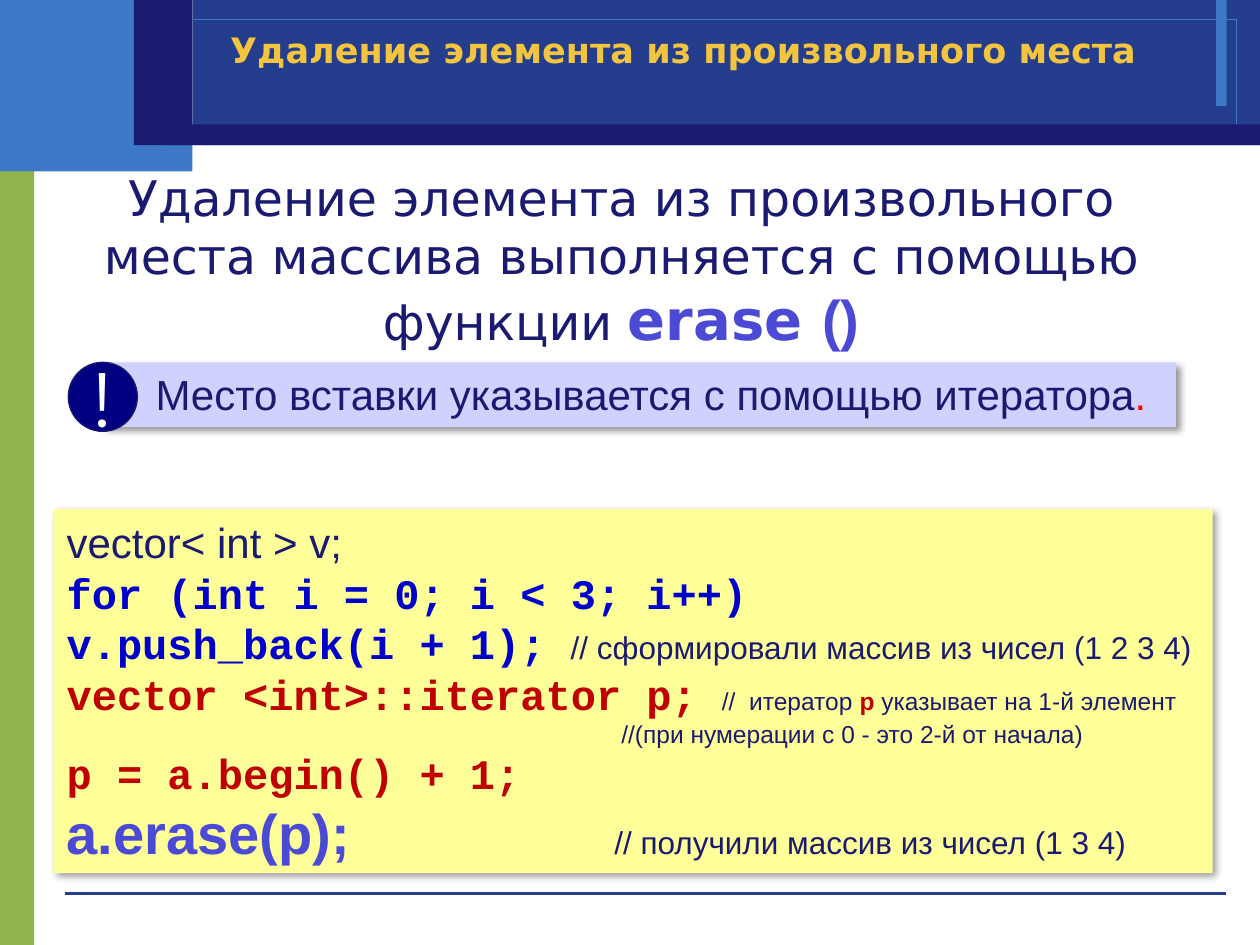
from dataclasses import dataclass

from lxml import etree
from pptx import Presentation
from pptx.dml.color import RGBColor
from pptx.enum.shapes import MSO_CONNECTOR, MSO_SHAPE
from pptx.enum.text import MSO_ANCHOR, MSO_AUTO_SIZE, PP_ALIGN
from pptx.oxml.ns import qn
from pptx.util import Pt

RECT, OVAL = MSO_SHAPE.RECTANGLE, MSO_SHAPE.OVAL
LINE = MSO_CONNECTOR.STRAIGHT
LEFT, MID = PP_ALIGN.LEFT, PP_ALIGN.CENTER
TOP, CORE = MSO_ANCHOR.TOP, MSO_ANCHOR.MIDDLE
FIXED = MSO_AUTO_SIZE.NONE


@dataclass(frozen=True)
class Theme:
    green: str = "90B54D"
    sky: str = "3E78C6"
    blue: str = "243D8C"
    ink: str = "1A1A70"
    gold: str = "F3C43F"
    violet: str = "4A4AD5"
    lilac: str = "D1D1FF"
    navy: str = "000080"
    sand: str = "FFFF99"
    key: str = "0000CC"
    wine: str = "C00000"
    red: str = "FF0000"
    white: str = "FFFFFF"
    black: str = "000000"
    note: int = 14
    small: int = 18
    head: int = 20
    text: int = 24
    lead: int = 28
    big: int = 32
    sign: int = 44
    sans: str = "DejaVu Sans"
    plain: str = "Arial"
    mono: str = "Courier New"
    mark: str = "Montserrat"


T = Theme()


def rgb(code):
    return RGBColor.from_string(code)


def style(name, size, color, bold=False):
    return {"name": name, "size": Pt(size), "bold": bold, "color": color}


def write(para, runs, align=LEFT):
    para.alignment = align
    para.space_before = Pt(0)
    for text, form in runs:
        run = para.add_run()
        run.text = text
        for key, val in form.items():
            if key == "color":
                run.font.color.rgb = rgb(val)
            else:
                setattr(run.font, key, val)


def frame(shape, **form):
    base = {"word_wrap": True, "auto_size": FIXED, "vertical_anchor": TOP}
    for key, val in (base | form).items():
        setattr(shape.text_frame, key, val)
    return shape.text_frame


def block(slide, kind, box, fill=None, line=None, width=0):
    shape = slide.shapes.add_shape(kind, *map(Pt, box))
    shape.shadow.inherit = False
    if fill:
        shape.fill.solid()
        shape.fill.fore_color.rgb = rgb(fill)
    else:
        shape.fill.background()
    if line:
        shape.line.color.rgb = rgb(line)
        shape.line.width = Pt(width)
    else:
        shape.line.fill.background()
    return shape


def shade(shape):
    fx = shape.element.spPr.find(qn("a:effectLst"))
    cast = etree.SubElement(fx, qn("a:outerShdw"), blurRad=str(Pt(4)),
                            dist=str(Pt(3)), dir="2700000", algn="tl", rotWithShape="0")
    tint = etree.SubElement(cast, qn("a:srgbClr"), val=T.black)
    etree.SubElement(tint, qn("a:alpha"), val="40000")


def place(shape, box):
    for key, val in zip(("left", "top", "width", "height"), box):
        setattr(shape, key, Pt(val))
    shape.element.getparent().append(shape.element)


def decor(slide, box):
    x, y, w, h = box
    parts = (
        ((0, 77, 19.5, h - 77), T.green, None),
        ((0, 0, 110, 98), T.sky, None),
        ((110, 0, w - 110, 83), T.blue, None),
        ((695, 0, 6, 60.5), T.sky, None),
        ((14.5, 11, 692, 61), None, T.sky),
        ((94, 71, w - 94, 12), T.ink, None),
        ((76.5, 0, 33.5, 83), T.ink, None),
    )
    for (dx, dy, pw, ph), fill, line in parts:
        block(slide, RECT, (x + dx, y + dy, pw, ph), fill, line)
    ends = (x + 37, y + 510.5, x + 700.5, y + 510.5)
    rule = slide.shapes.add_connector(LINE, *map(Pt, ends))
    rule.line.color.rgb = rgb(T.blue)
    rule.line.width = Pt(0)
    etree.SubElement(rule.element.spPr, qn("a:effectLst"))


def title(slide, box):
    shape = slide.shapes.title
    place(shape, box)
    area = frame(shape, vertical_anchor=CORE, margin_top=Pt(14), margin_bottom=Pt(3))
    write(area.paragraphs[0], [("Удаление элемента из произвольного места",
                                style(T.sans, T.head, T.gold, True))], MID)


def body(slide, box):
    shape = slide.placeholders[1]
    place(shape, box)
    para = frame(shape, margin_top=Pt(7)).paragraphs[0]
    write(para, [
        ("Удаление элемента из произвольного места массива выполняется с помощью функции ",
         style(T.sans, T.lead, T.ink)),
        ("erase ", style(T.sans, T.big, T.violet, True)),
        ("()", style(T.plain, T.big, T.violet, True)),
    ], MID)
    props = para._p.get_or_add_pPr()
    props.set("marL", "0")
    props.set("indent", "0")
    etree.SubElement(props, qn("a:buNone"))


def callout(slide, box):
    x, y, w, h = box
    bar = block(slide, RECT, (x + 20, y, w - 20, h - 2.5), T.lilac)
    shade(bar)
    write(frame(bar, margin_left=Pt(20)).paragraphs[0], [
        ("Место вставки указывается с помощью итератора", style(T.plain, T.text, T.ink)),
        (".", style(T.plain, T.text, T.red)),
    ], MID)
    disc = block(slide, OVAL, (x, y, h, h), T.navy, T.ink, 0.75)
    area = frame(disc, word_wrap=False, vertical_anchor=CORE)
    write(area.paragraphs[0], [("!", style(T.mark, T.sign, T.white))], MID)


def code(slide, box):
    panel = block(slide, RECT, box, T.sand)
    shade(panel)
    area = frame(panel, vertical_anchor=CORE)
    blue = style(T.mono, T.text, T.key, True)
    wine = style(T.mono, T.text, T.wine, True)
    small = style(T.plain, T.small, T.ink)
    note = style(T.plain, T.note, T.ink)
    rows = (
        (0, [("vector< int > v;", style(T.plain, T.text, T.ink))]),
        (0, [("for (int i = 0; i < 3; i++)", blue)]),
        (0, [("v.push_back(i + 1); ", blue),
             ("// сформировали массив из чисел (1 2 3 4)", small)]),
        (0, [("vector <int>::iterator p; ", wine), ("//  итератор ", note),
             ("p", style(T.plain, T.note, T.wine, True)),
             (" указывает на 1-й элемент", note)]),
        (317, [("//(при нумерации с 0 - это 2-й от начала)", note)]),
        (0, [("p = a.begin() + 1;", wine)]),
        (0, [("a.erase(p);", style(T.plain, T.big, T.violet, True)),
             ("\t// получили массив из чисел (1 3 4)", small)]),
    )
    for num, (inset, runs) in enumerate(rows):
        para = area.add_paragraph() if num else area.paragraphs[0]
        props = para._p.get_or_add_pPr()
        props.set("marL", str(Pt(inset)))
        tabs = etree.SubElement(props, qn("a:tabLst"))
        etree.SubElement(tabs, qn("a:tab"), pos=str(Pt(313)), algn="l")
        write(para, runs)


def main():
    deck = Presentation()
    deck.slide_width, deck.slide_height = Pt(720), Pt(540)
    slide = deck.slides.add_slide(deck.slide_layouts[1])
    decor(slide, (0, 0, 720, 540))
    title(slide, (61, 0, 659, 45))
    body(slide, (31, 88.5, 648, 413))
    callout(slide, (39, 207, 633, 39.5))
    code(slide, (31, 291, 662, 208))
    deck.save("out.pptx")


if __name__ == "__main__":
    main()
